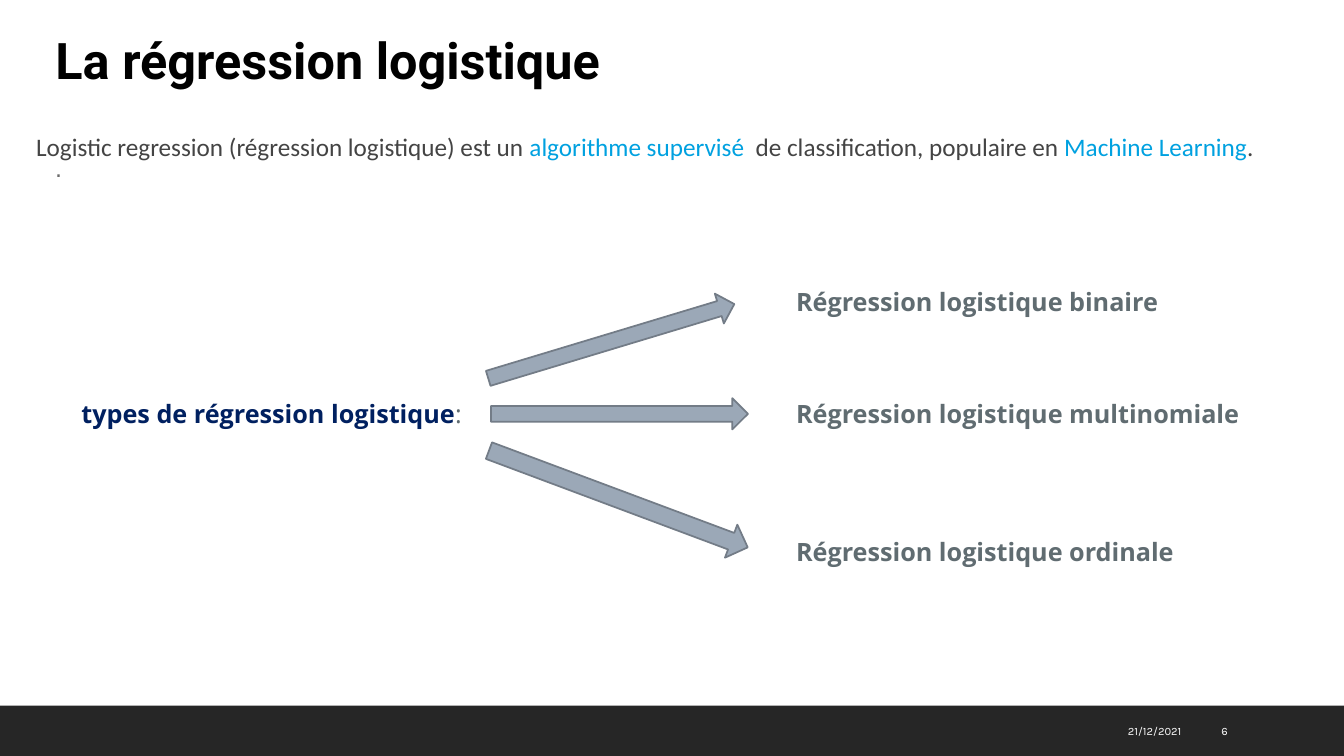
from pptx import Presentation
from pptx.dml.color import RGBColor
from pptx.enum.shapes import MSO_SHAPE as Shape
from pptx.enum.text import MSO_ANCHOR as Anchor, PP_ALIGN as Align
from pptx.util import Pt

COLORS = {
    "black": "000000",
    "white": "FFFFFF",
    "footer": "262626",
    "body": "444444",
    "accent": "00A1E0",
    "navy": "002060",
    "slate": "606C71",
    "grey": "6C6C6C",
    "arrow": "9BA8B7",
    "outline": "737C87",
}


def color(name):
    return RGBColor.from_string(COLORS[name])


def place(shape, left, top, width, height):
    shape.left, shape.top = Pt(left), Pt(top)
    shape.width, shape.height = Pt(width), Pt(height)


def write(box, spans, font, size, bold=False, align=Align.LEFT, anchor=Anchor.TOP):
    """Fill a box with one paragraph of (text, colour) spans."""
    frame = box.text_frame
    frame.word_wrap = True
    frame.vertical_anchor = anchor
    para = frame.paragraphs[0]
    para.alignment = align
    para.font.name, para.font.size, para.font.bold = font, Pt(size), bold
    for text, tint in spans:
        span = para.add_run()
        span.text = text
        span.font.color.rgb = color(tint)
    return para


def add_text(page, area, spans, font, size, **style):
    box = page.shapes.add_textbox(*map(Pt, area))
    return write(box, spans, font, size, **style)


def add_block(page, kind, area, fill, line=None):
    block = page.shapes.add_shape(kind, *map(Pt, area))
    block.shadow.inherit = False
    block.fill.solid()
    block.fill.fore_color.rgb = color(fill)
    if line:
        block.line.color.rgb = color(line)
        block.line.width = Pt(1.25)
    else:
        block.line.fill.background()
    return block


def add_arrow(page, area, angle):
    arrow = add_block(page, Shape.DOWN_ARROW, area, "arrow", "outline")
    arrow.rotation = angle


def add_footer(page):
    add_block(page, Shape.RECTANGLE, (0, 504, 960, 36), "footer")
    add_text(page, (647.3, 507.6, 203.8, 28.8), [("21/12/2021", "white")],
             "Karla", 8, align=Align.RIGHT, anchor=Anchor.MIDDLE)
    add_text(page, (865.4, 507.6, 61.2, 28.8), [("6", "white")],
             "Karla", 8, anchor=Anchor.MIDDLE)


def add_title(page):
    title = page.shapes.title
    place(title, 32.4, 17.3, 480, 51)
    write(title, [("La régression logistique", "black")], "Roboto", 36, bold=True)


def add_definition(page):
    add_text(page, (32.4, 105.1, 789, 28.8), [(".", "grey")], "Arial", 18)
    add_text(page, (18.7, 90, 920, 28.8), [
        ("Logistic regression (régression logistique) est un ", "body"),
        ("algorithme supervisé", "accent"),
        ("  de classification, populaire en ", "body"),
        ("Machine Learning", "accent"),
        (".", "body"),
    ], "Calibri", 18)


def add_types(page):
    # Heading of the branches
    heading = add_text(page, (51.1, 280.8, 294.5, 28.8), [
        ("types de régression logistique", "navy"),
        (":", "slate"),
    ], "Open Sans", 18, bold=True)
    heading.runs[-1].font.bold = False

    # One arrow and one label per type
    branches = [
        ("binaire", 200.9, (425.5, 151.9, 22.3, 183.6), 253.2),
        ("multinomiale", 280.8, (431.3, 203.8, 22.3, 183.6), 270),
        ("ordinale", 379.4, (429.1, 257.8, 25.2, 197.3), 290.5),
    ]
    for kind, top, area, angle in branches:
        add_arrow(page, area, angle)
        add_text(page, (561.6, top, 390, 28.8),
                 [(f"Régression logistique {kind}", "slate")],
                 "Open Sans", 18, bold=True)


def main():
    deck = Presentation()
    deck.slide_width, deck.slide_height = Pt(960), Pt(540)
    page = deck.slides.add_slide(deck.slide_layouts[5])
    page.background.fill.solid()
    page.background.fill.fore_color.rgb = color("white")

    add_footer(page)
    add_title(page)
    add_definition(page)
    add_types(page)

    deck.save("out.pptx")


if __name__ == "__main__":
    main()
